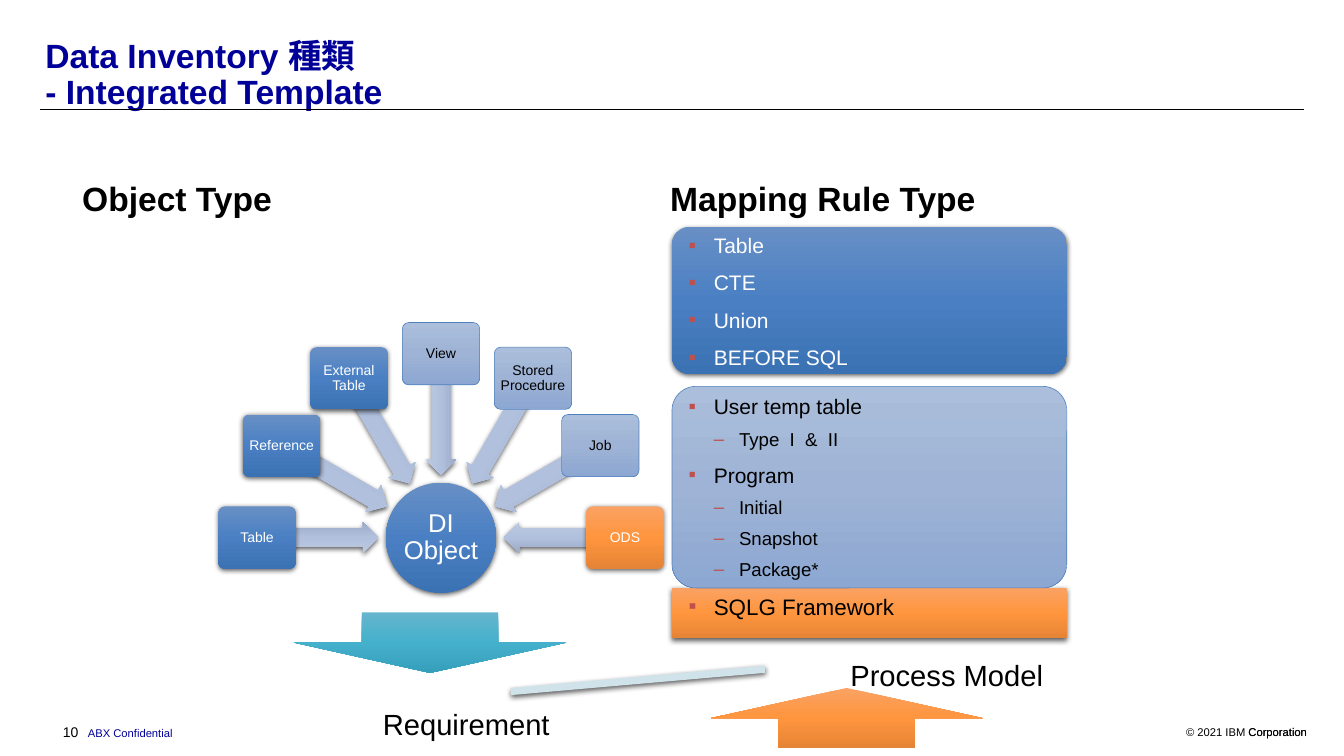
from math import cos, radians, sin

from lxml.etree import SubElement
from pptx import Presentation
from pptx.dml.color import RGBColor
from pptx.enum.shapes import MSO_CONNECTOR as Connector, MSO_SHAPE as Preset
from pptx.enum.text import MSO_ANCHOR as Anchor, MSO_AUTO_SIZE as AutoSize, PP_ALIGN as Align
from pptx.oxml.ns import qn
from pptx.util import Inches, Pt

BLUE = ("688FC5", "4A80C3", "3B72B3")
PALE = ("ABBEDB", "9EB3D5", "8CA7D2")
SPOKE = ("BDC9E0", "B1C0DD", "9AAAC7")
ORANGE = ("FAA263", "FF953E", "E58435")
TEAL = ("66B5CD", "45B0CC", "36A0BC")
BLACK, WHITE, NAVY, RED, EDGE = "000000", "FFFFFF", "000099", "C0504D", "4F81BD"


def color(code):
    return RGBColor.from_string(code)


def apply(target, values):
    for name, value in values.items():
        setattr(target, name, value)


class Page:
    COLUMNS, ROWS = 16, 9
    FONT = "Arial"
    BULLETS = (("▪", 0.35), ("–", 0.25))

    def __init__(self, deck):
        apply(deck, {"slide_width": Inches(16), "slide_height": Inches(9)})
        self.column = deck.slide_width / self.COLUMNS
        self.row = deck.slide_height / self.ROWS
        self.slide = deck.slides.add_slide(deck.slide_layouts[5])

    def place(self, left, top, width, height):
        return (round(left * self.column), round(top * self.row),
                round(width * self.column), round(height * self.row))

    def frame(self, box, anchor=Anchor.TOP, inset=(0.1, 0.05), wrap=True):
        across, down = (Inches(side) for side in inset)
        apply(box.text_frame, {
            "word_wrap": wrap, "auto_size": AutoSize.NONE, "vertical_anchor": anchor,
            "margin_left": across, "margin_right": across,
            "margin_top": down, "margin_bottom": down})
        return box.text_frame

    def span(self, para, text, size, ink=BLACK, bold=False):
        span = para.add_run()
        span.text = text
        apply(span.font, {"name": self.FONT, "size": Pt(size), "bold": bold})
        span.font.color.rgb = color(ink)

    def title(self, lines, area):
        box = self.slide.shapes.title
        apply(box, dict(zip(("left", "top", "width", "height"), self.place(*area))))
        para = self.frame(box, Anchor.BOTTOM).paragraphs[0]
        apply(para, {"alignment": Align.LEFT, "line_spacing": 0.9})
        for index, line in enumerate(lines):
            if index:
                para.add_line_break()
            self.span(para, line, 28.8, NAVY, True)

    def text(self, area, spans, align=Align.LEFT, **layout):
        box = self.slide.shapes.add_textbox(*self.place(*area))
        para = self.frame(box, **layout).paragraphs[0]
        para.alignment = align
        for span in spans:
            self.span(para, *span)

    def bullets(self, area, items, ink):
        box = self.slide.shapes.add_textbox(*self.place(*area))
        frame = self.frame(box)
        for index, (text, level, size) in enumerate(items):
            para = frame.add_paragraph() if index else frame.paragraphs[0]
            mark, before = self.BULLETS[level]
            line = size * 1.15
            apply(para, {"level": level, "space_before": Pt(line * before if index else 0),
                         "space_after": Pt(line * 0.15)})
            props = para._p.get_or_add_pPr()
            props.set("marL", str(Inches(0.3 * (level + 1))))
            props.set("indent", str(Inches(-0.3)))
            tint = SubElement(props, qn("a:buClr"))
            SubElement(tint, qn("a:srgbClr"), val=RED)
            SubElement(props, qn("a:buFont"), typeface=self.FONT)
            SubElement(props, qn("a:buChar"), char=mark)
            self.span(para, text, size, ink)

    def shape(self, preset, area, fill, adjust=(), turn=0, shadow=False, edge=None):
        shape = self.slide.shapes.add_shape(preset, *self.place(*area))
        shape.rotation = turn
        for index, value in enumerate(adjust):
            shape.adjustments[index] = value
        self.fill(shape, fill)
        if edge:
            shape.line.color.rgb = color(edge)
            shape.line.width = Pt(0.5)
        else:
            shape.line.fill.background()
        shape.shadow.inherit = False
        if shadow:
            self.shadow(shape)
        return shape

    def fill(self, shape, fill):
        if isinstance(fill, str):
            shape.fill.solid()
            shape.fill.fore_color.rgb = color(fill)
            return
        shape.fill.gradient()
        shape.fill.gradient_angle = 270
        stops = shape._element.spPr.find(".//" + qn("a:gsLst"))
        for stop in list(stops):
            stops.remove(stop)
        for index, code in enumerate(fill):
            stop = SubElement(stops, qn("a:gs"), pos=str(index * 50000))
            SubElement(stop, qn("a:srgbClr"), val=code)

    def shadow(self, shape):
        effects = shape._element.spPr.find(qn("a:effectLst"))
        outer = SubElement(effects, qn("a:outerShdw"), blurRad=str(Pt(4.5)),
                           dist=str(Pt(1.5)), dir="5400000", rotWithShape="0")
        tint = SubElement(outer, qn("a:srgbClr"), val=BLACK)
        SubElement(tint, qn("a:alpha"), val="63000")

    def label(self, shape, text, size, ink, inset):
        para = self.frame(shape, Anchor.MIDDLE, (inset, inset)).paragraphs[0]
        apply(para, {"alignment": Align.CENTER, "line_spacing": 0.9})
        self.span(para, text, size, ink)

    def rule(self, left, right, top):
        start, end, height = (round(left * self.column), round(right * self.column),
                              round(top * self.row))
        line = self.slide.shapes.add_connector(Connector.STRAIGHT, start, height, end, height)
        line.line.color.rgb = color(BLACK)
        line.line.width = Pt(0.75)
        SubElement(line._element.spPr, qn("a:effectLst"))

    def wheel(self, center, hub, nodes):
        x, y = center
        circle = self.shape(Preset.OVAL, (x - 0.655, y - 0.655, 1.31, 1.31), BLUE, shadow=True)
        self.label(circle, hub, 22, WHITE, 0.02)

        def around(angle, radius, width, height):
            return (x - radius * cos(radians(angle)) - width / 2,
                    y - radius * sin(radians(angle)) - height / 2, width, height)

        for index, (text, fill, ink) in enumerate(nodes):
            angle = index * 180 / (len(nodes) - 1)
            self.shape(Preset.LEFT_ARROW, around(angle, 1.47, 1.45, 0.37), SPOKE,
                       (0.6, 0.5), (180 + angle) % 360, True)
            plain = fill == PALE
            card = self.shape(Preset.ROUNDED_RECTANGLE, around(angle, 2.19, 0.92, 0.74), fill,
                              (0.1,), shadow=not plain, edge=EDGE if plain else None)
            self.label(card, text, 12, ink, 0.03)


def main():
    deck = Presentation()
    page = Page(deck)
    page.title(("Data Inventory 種類", "- Integrated Template"), (0.44, 0.34, 15.12, 1.04))
    page.rule(0.48, 15.52, 1.3)
    for notice in ("© 2021 IBM Corporation", " Corporation"):
        page.text((13.28, 8.58, 2.4, 0.24), [(notice, 9.6)], Align.RIGHT, inset=(0.12, 0.06))
    page.text((0.65, 8.57, 1.51, 0.3), [("10 ", 12), ("  ABX Confidential", 9.6, NAVY)],
              wrap=False)

    page.shape(Preset.RECTANGLE, (8, 7, 4.7, 0.6), ORANGE, shadow=True)
    page.shape(Preset.ROUNDED_RECTANGLE, (8, 4.6, 4.7, 2.4), PALE, (0.119,), edge=EDGE)
    page.shape(Preset.ROUNDED_RECTANGLE, (8, 2.7, 4.7, 1.75), BLUE, (0.119,), shadow=True)
    for left, heading in ((0.88, "Object Type"), (7.88, "Mapping Rule Type")):
        page.text((left, 1.57, 6.8, 1.08), [(heading, 28.8, BLACK, True)], anchor=Anchor.BOTTOM)

    page.wheel((5.25, 6.4), "DI Object", (
        ("Table", BLUE, WHITE), ("Reference", BLUE, WHITE), ("External Table", BLUE, WHITE),
        ("View", PALE, BLACK), ("Stored Procedure", PALE, BLACK), ("Job", PALE, BLACK),
        ("ODS", ORANGE, WHITE)))

    page.bullets((8.1, 4.64, 5.3, 1.8), (
        ("User temp table", 0, 18), ("Type  I  &  II", 1, 16), ("Program", 0, 18),
        ("Initial", 1, 16), ("Snapshot", 1, 16), ("Package*", 1, 16),
        ("SQLG Framework", 0, 19.2)), BLACK)
    page.bullets((8.1, 2.72, 2.86, 1.77),
                 [(name, 0, 18) for name in ("Table", "CTE", "Union", "BEFORE SQL")], WHITE)

    page.shape(Preset.MATH_MINUS, (5.53, 7.92, 4.13, 0.36), "D0E3EA", turn=355, shadow=True)
    page.shape(Preset.DOWN_ARROW, (3.5, 7.29, 3.24, 0.72), TEAL)
    page.shape(Preset.UP_ARROW, (8.46, 8.19, 3.24, 0.72), ORANGE)
    for left, top, name in ((9.54, 7.66, "Process Model"), (3.82, 8.24, "Requirement")):
        page.text((left, top, 3.46, 0.76), [(name, 25)], Align.CENTER,
                  anchor=Anchor.MIDDLE, inset=(0.19, 0.19))
    deck.save("out.pptx")


if __name__ == "__main__":
    main()
